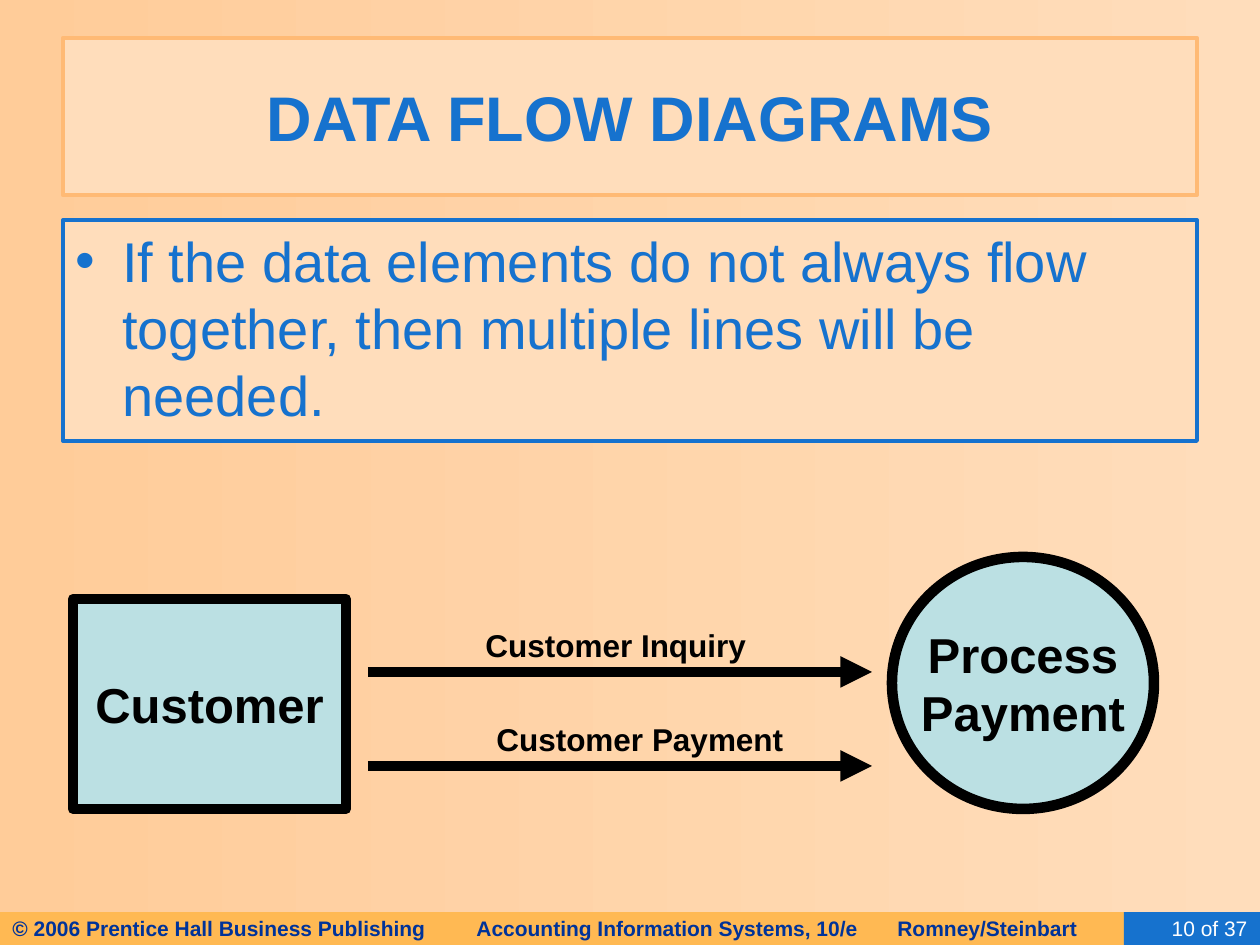
from dataclasses import dataclass

from lxml.etree import SubElement
from pptx import Presentation
from pptx.dml.color import RGBColor
from pptx.enum.shapes import MSO_CONNECTOR as Connector, MSO_SHAPE as Preset
from pptx.enum.text import MSO_ANCHOR as Anchor, PP_ALIGN as Align
from pptx.oxml.ns import qn
from pptx.util import Emu, Pt

EMU_PER_PX = 914400 / 126
FONT = "Arial"
COLORS = {
    "sand": "FFCC99",
    "cream": "FFDDBB",
    "title_edge": "FFBA75",
    "footer": "FFB953",
    "blue": "1672CE",
    "navy": "003399",
    "node": "BBE0E3",
    "black": "000000",
    "white": "FFFFFF",
}


@dataclass
class Panel:
    """A filled shape with text; each line is its own paragraph."""
    box: tuple[int, int, int, int]
    lines: list[str]
    fill: str
    ink: str
    size: int
    edge: str | None = None
    edge_pt: float = 0
    bold: bool = False
    align: Align = Align.CENTER
    anchor: Anchor = Anchor.MIDDLE
    preset: Preset = Preset.RECTANGLE
    wrap: bool = True
    tabs: tuple[int, ...] = ()
    bullet_indent: int = 0


@dataclass
class Flow:
    """A labelled arrow from the customer to the process."""
    label: str
    y: int
    label_box: tuple[int, int, int, int]


def px(length: int) -> Emu:
    return Emu(round(length * EMU_PER_PX))


def rgb(name: str) -> RGBColor:
    return RGBColor.from_string(COLORS[name])


def style(paragraph, size: int, ink: str, bold: bool) -> None:
    font = paragraph.font
    font.name, font.size, font.bold = FONT, Pt(size), bold
    font.color.rgb = rgb(ink)


def add_bullet(paragraph, indent: int) -> None:
    props = paragraph._p.get_or_add_pPr()
    props.set("marL", str(px(indent)))
    props.set("indent", str(-px(indent)))
    SubElement(props, qn("a:buFont"), typeface=FONT)
    SubElement(props, qn("a:buChar"), char="•")


def add_tabs(paragraph, stops: tuple[int, ...]) -> None:
    tab_list = SubElement(paragraph._p.get_or_add_pPr(), qn("a:tabLst"))
    for stop in stops:
        SubElement(tab_list, qn("a:tab"), pos=str(px(stop)), algn="l")


def draw_panel(slide, panel: Panel) -> None:
    shape = slide.shapes.add_shape(panel.preset, *map(px, panel.box))
    shape.shadow.inherit = False
    shape.fill.solid()
    shape.fill.fore_color.rgb = rgb(panel.fill)
    if panel.edge:
        shape.line.color.rgb = rgb(panel.edge)
        shape.line.width = Pt(panel.edge_pt)
    else:
        shape.line.fill.background()
    frame = shape.text_frame
    frame.word_wrap = panel.wrap
    frame.vertical_anchor = panel.anchor
    for index, line in enumerate(panel.lines):
        paragraph = frame.add_paragraph() if index else frame.paragraphs[0]
        paragraph.text = line
        paragraph.alignment = panel.align
        if panel.bullet_indent:
            add_bullet(paragraph, panel.bullet_indent)
        if panel.tabs:
            add_tabs(paragraph, panel.tabs)
        style(paragraph, panel.size, panel.ink, panel.bold)


def draw_flow(slide, flow: Flow) -> None:
    arrow = slide.shapes.add_connector(
        Connector.STRAIGHT, px(368), px(flow.y), px(872), px(flow.y))
    arrow.line.color.rgb = rgb("black")
    arrow.line.width = Pt(6)
    SubElement(arrow.line._get_or_add_ln(), qn("a:tailEnd"), type="triangle")
    SubElement(arrow._element.spPr, qn("a:effectLst"))

    label = slide.shapes.add_textbox(*map(px, flow.label_box))
    label.text_frame.word_wrap = False
    paragraph = label.text_frame.paragraphs[0]
    paragraph.text = flow.label
    style(paragraph, 18, "black", True)


PANELS = [
    # Footer
    Panel((0, 912, 1166, 33),
          ["© 2006 Prentice Hall Business Publishing\t"
           "Accounting Information Systems, 10/e\tRomney/Steinbart"],
          "footer", "navy", 12, bold=True, align=Align.LEFT, tabs=(464, 885)),
    Panel((1124, 912, 136, 33), ["10 of 37"], "blue", "white", 12,
          align=Align.RIGHT),
    # Title and statement
    Panel((63, 38, 1134, 157), ["DATA FLOW DIAGRAMS"], "cream", "blue", 36,
          "title_edge", 2.5, bold=True),
    Panel((63, 220, 1134, 221),
          ["If the data elements do not always flow together, "
           "then multiple lines will be needed."],
          "cream", "blue", 32, "blue", 2.25, align=Align.LEFT,
          anchor=Anchor.TOP, bullet_indent=47),
    # Diagram nodes
    Panel((73, 599, 273, 210), ["Customer"], "node", "black", 28,
          "black", 6, bold=True, wrap=False),
    Panel((892, 557, 262, 252), ["Process", "Payment"], "node", "black", 28,
          "black", 6, bold=True, preset=Preset.OVAL, wrap=False),
]
FLOWS = [
    Flow("Customer Inquiry", 672, (473, 620, 286, 50)),
    Flow("Customer Payment", 766, (484, 714, 312, 50)),
]


def main() -> None:
    deck = Presentation()
    deck.slide_width, deck.slide_height = px(1260), px(945)
    slide = deck.slides.add_slide(deck.slide_layouts[6])

    # Background, darker on the left
    backdrop = slide.background.fill
    backdrop.gradient()
    backdrop.gradient_angle = 0
    for stop, color in zip(backdrop.gradient_stops, ("sand", "cream")):
        stop.color.rgb = rgb(color)

    for panel in PANELS:
        draw_panel(slide, panel)
    for flow in FLOWS:
        draw_flow(slide, flow)
    deck.save("out.pptx")


if __name__ == "__main__":
    main()
